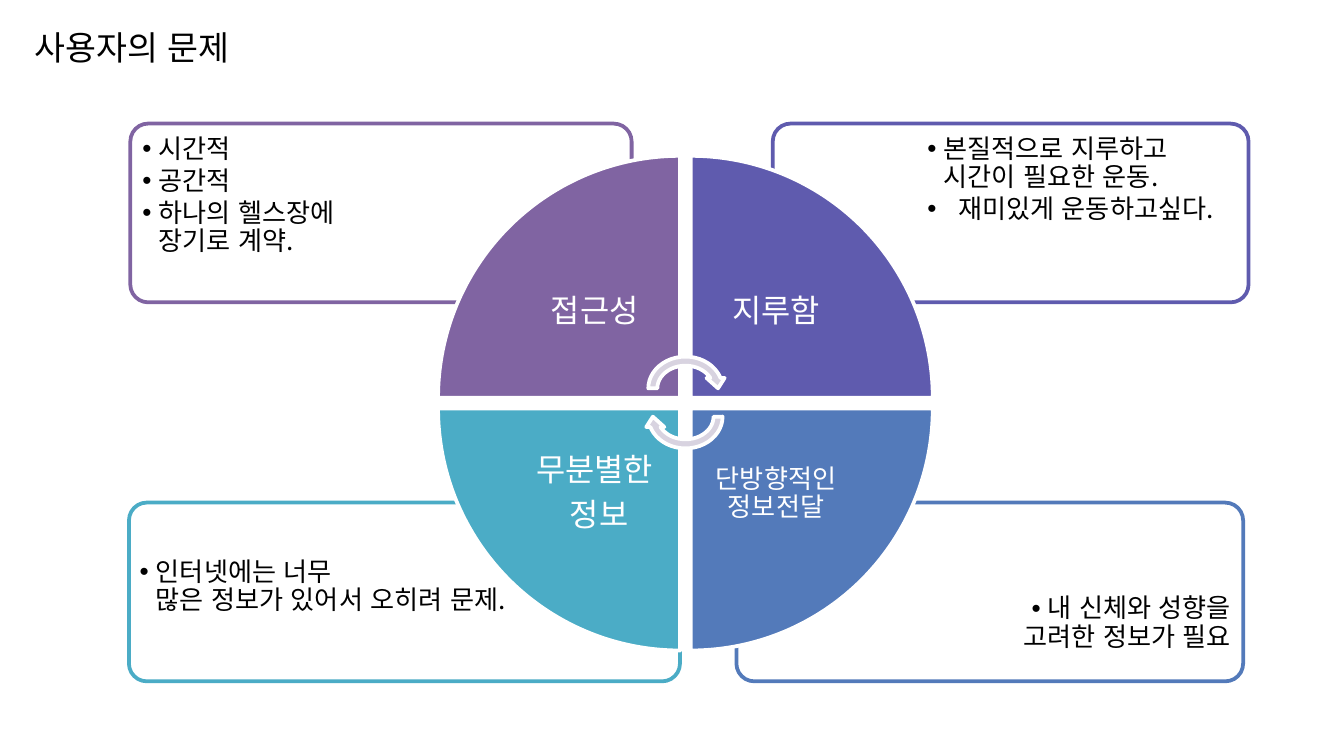
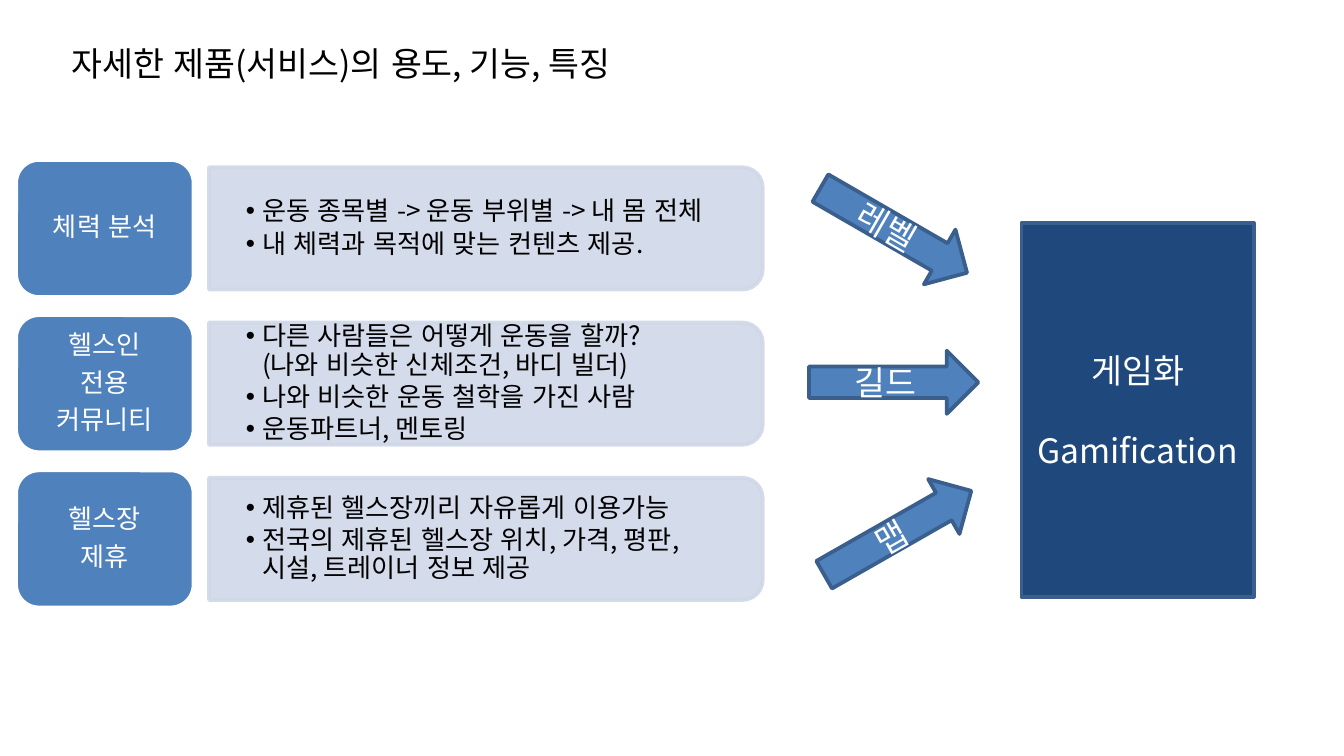
"""Build two slides: the users' problems and the features of the service."""
from copy import deepcopy

from lxml.etree import SubElement
from pptx import Presentation
from pptx.dml.color import RGBColor
from pptx.enum.lang import MSO_LANGUAGE_ID
from pptx.enum.shapes import MSO_SHAPE
from pptx.enum.text import MSO_ANCHOR, MSO_AUTO_SIZE, PP_ALIGN
from pptx.oxml.ns import qn
from pptx.util import Inches, Pt

FONT = "Noto Sans CJK KR"
BLACK, WHITE = "000000", "FFFFFF"
BLUE, BLUE_EDGE, NAVY, PALE = "4F81BD", "3A5F8C", "1F497D", "D0D8E8"
ARROW_GREY = "D8D3E0"

TITLE = dict(size=18, color=BLACK, align=PP_ALIGN.LEFT, anchor=MSO_ANCHOR.TOP,
             insets=(0.1, 0.05), fit=MSO_AUTO_SIZE.SHAPE_TO_FIT_TEXT)
LIST = dict(size=14, color=BLACK, align=PP_ALIGN.LEFT, anchor=MSO_ANCHOR.TOP,
            insets=(0.06, 0.06), leading=0.9, after=2.1, hanging=0.12)
LABEL = dict(size=14, color=WHITE, leading=0.9, after=5)


def draw(slide, preset, box, fill, edge, rotation=0, fill_opacity=100, edge_opacity=100):
    shape = slide.shapes.add_shape(preset, *map(Inches, box))
    shape.shadow.inherit = False
    shape.rotation = rotation
    shape.fill.solid()
    shape.fill.fore_color.rgb = RGBColor.from_string(fill)
    shape.line.color.rgb = RGBColor.from_string(edge)
    shape.line.width = Pt(2)
    colors = shape.element.spPr.iter(qn("a:srgbClr"))
    for color, opacity in zip(list(colors), (fill_opacity, edge_opacity)):
        if opacity < 100:
            SubElement(color, qn("a:alpha"), val=str(opacity * 1000))
    return shape


def write(shape, lines, size, color, align=PP_ALIGN.CENTER, anchor=MSO_ANCHOR.MIDDLE,
          insets=(0.1, 0.05), leading=1.0, after=0, hanging=0, box=None,
          fit=MSO_AUTO_SIZE.NONE):
    if box:
        for side, length in zip(("left", "top", "width", "height"), box):
            setattr(shape, side, Inches(length))
    frame = shape.text_frame
    across, down = map(Inches, insets)
    frame_format = dict(word_wrap=True, auto_size=fit, vertical_anchor=anchor,
                        margin_left=across, margin_right=across,
                        margin_top=down, margin_bottom=down)
    for name, value in frame_format.items():
        setattr(frame, name, value)
    run_format = dict(name=FONT, size=Pt(size), bold=False,
                      language_id=MSO_LANGUAGE_ID.KOREAN)
    for number, line in enumerate(lines):
        paragraph = frame.paragraphs[0] if number == 0 else frame.add_paragraph()
        paragraph.text = line
        if hanging:
            properties = paragraph._p.get_or_add_pPr()
            properties.set("marL", str(Inches(hanging)))
            properties.set("indent", str(-Inches(hanging)))
            SubElement(properties, qn("a:buChar"), char="•")
        paragraph_format = dict(alignment=align, line_spacing=leading,
                                space_before=Pt(0), space_after=Pt(after))
        for name, value in paragraph_format.items():
            setattr(paragraph, name, value)
        for run in paragraph.runs:
            for name, value in run_format.items():
                setattr(run.font, name, value)
            run.font.color.rgb = RGBColor.from_string(color)
            run._r.rPr.set("kern", "0")
            SubElement(run._r.rPr, qn("a:ea"), typeface=FONT)
        for line_break in paragraph._p.findall(qn("a:br")):
            line_break.append(deepcopy(paragraph.runs[0]._r.rPr))


deck = Presentation()
deck.slide_width, deck.slide_height = Inches(10), Inches(10 * 9 / 16)
layout = deck.slide_layouts.get_by_name("Comparison")

problems = deck.slides.add_slide(layout)
title, *lists = problems.placeholders
write(title, ["사용자의 문제"], box=(0.16, 0.15, 2.72, 0.4), **TITLE)

quadrants = [
    dict(color="8064A2", col=0, row=0, turn=0, frame=(0.97, 0.92, 3.73, 1.33),
         label=["접근성"], size=17, box=(1, 0.95, 2.56, 0.94),
         points=["시간적", "공간적", "하나의 헬스장에\n장기로 계약."]),
    dict(color="5F5BAE", col=1, row=0, turn=90, frame=(5.75, 0.92, 3.54, 1.33),
         label=["지루함"], size=17, box=(6.84, 0.95, 2.42, 0.94),
         points=["본질적으로 지루하고 시간이 필요한 운동.", "재미있게 운동하고싶다."]),
    dict(color="537ABA", col=1, row=1, turn=180, frame=(5.48, 3.74, 3.77, 1.33),
         label=["단방향적인 정보전달"], size=14, box=(6.64, 4.37, 2.58, 0.67),
         points=["내 신체와 성향을\n고려한 정보가 필요"]),
    dict(color="4BACC6", col=0, row=1, turn=270, frame=(0.96, 3.74, 4.1, 1.33),
         label=["무분별한", " 정보"], size=17, box=(0.98, 4.1, 2.81, 0.94),
         points=["인터넷에는 너무\n많은 정보가 있어서 오히려 문제."]),
]
for quadrant in quadrants:
    outline = draw(problems, MSO_SHAPE.ROUNDED_RECTANGLE, quadrant["frame"],
                   WHITE, quadrant["color"], fill_opacity=90)
    outline.adjustments[0] = 0.1

for quadrant, points in zip(quadrants, lists):
    col, row = quadrant["col"], quadrant["row"]
    draw(problems, MSO_SHAPE.PIE_WEDGE, (3.26 + 1.88 * col, 1.16 + 1.88 * row, 1.8, 1.8),
         quadrant["color"], WHITE, quadrant["turn"])
    label = problems.shapes.add_textbox(
        *map(Inches, (3.79 + 1.35 * col, 1.69 + 1.35 * row, 1.27, 1.27)))
    inset = 0.13 if quadrant["size"] == 17 else 0.11
    write(label, quadrant["label"],
          **LABEL | dict(size=quadrant["size"], insets=(inset, inset), after=6))
    write(points, quadrant["points"], box=quadrant["box"], **LIST)
    problems.shapes.element.append(points.element)

wider_indent = lists[1].text_frame.paragraphs[1]._p.pPr
wider_indent.set("marL", str(Inches(0.23)))
wider_indent.set("indent", str(-Inches(0.23)))
lists[2].text_frame.paragraphs[0].alignment = PP_ALIGN.RIGHT

for top, turn in ((2.62, 0), (2.83, 180)):
    draw(problems, MSO_SHAPE.CIRCULAR_ARROW, (4.79, top, 0.62, 0.54),
         ARROW_GREY, WHITE, turn)

service = deck.slides.add_slide(layout)
title, *lists, unused = service.placeholders
unused.element.getparent().remove(unused.element)
write(title, ["자세한 제품(서비스)의 용도, 기능, 특징"], box=(0.43, 0.27, 4.88, 0.4), **TITLE)

features = [
    (["체력 분석"],
     ["운동 종목별 -> 운동 부위별 -> 내 몸 전체", "내 체력과 목적에 맞는 컨텐츠 제공."]),
    (["헬스인", "전용", "커뮤니티"],
     ["다른 사람들은 어떻게 운동을 할까?\n(나와 비슷한 신체조건, 바디 빌더)",
      "나와 비슷한 운동 철학을 가진 사람", "운동파트너, 멘토링"]),
    (["헬스장", "제휴"],
     ["제휴된 헬스장끼리 자유롭게 이용가능",
      "전국의 제휴된 헬스장 위치, 가격, 평판, 시설, 트레이너 정보 제공"]),
]
for row, ((feature, details), points) in enumerate(zip(features, lists)):
    top = 1.19 + 2.31 * row / 2
    draw(service, MSO_SHAPE.ROUND_2_SAME_RECTANGLE, (3.16, top - 1.55, 0.91, 4.12),
         PALE, PALE, 90, fill_opacity=90, edge_opacity=90)
    label = draw(service, MSO_SHAPE.ROUNDED_RECTANGLE, (0.12, top, 1.32, 1.02), BLUE, WHITE)
    write(label, feature, insets=(0.06, 0.03), **LABEL)
    write(points, details, box=(1.56, top + 0.1, 4.03, 0.82),
          **LIST | dict(anchor=MSO_ANCHOR.MIDDLE, insets=(0.27, 0.14)))
    service.shapes.element.append(points.element)

for element, left, top, turn in (("레벨", 6.02, 1.48, 30), ("길드", 6.02, 2.61, 0),
                                 ("맵", 6.05, 3.73, 330.3)):
    arrow = draw(service, MSO_SHAPE.RIGHT_ARROW, (left, top, 1.26, 0.47),
                 BLUE, BLUE_EDGE, turn)
    write(arrow, [element], 18, WHITE)

gamification = draw(service, MSO_SHAPE.RECTANGLE, (7.6, 1.66, 1.73, 2.78), NAVY, BLUE_EDGE)
write(gamification, ["게임화", "Gamification"], 18, WHITE)
gamification.text_frame.paragraphs[1].space_before = Pt(21.5)

deck.save("out.pptx")
